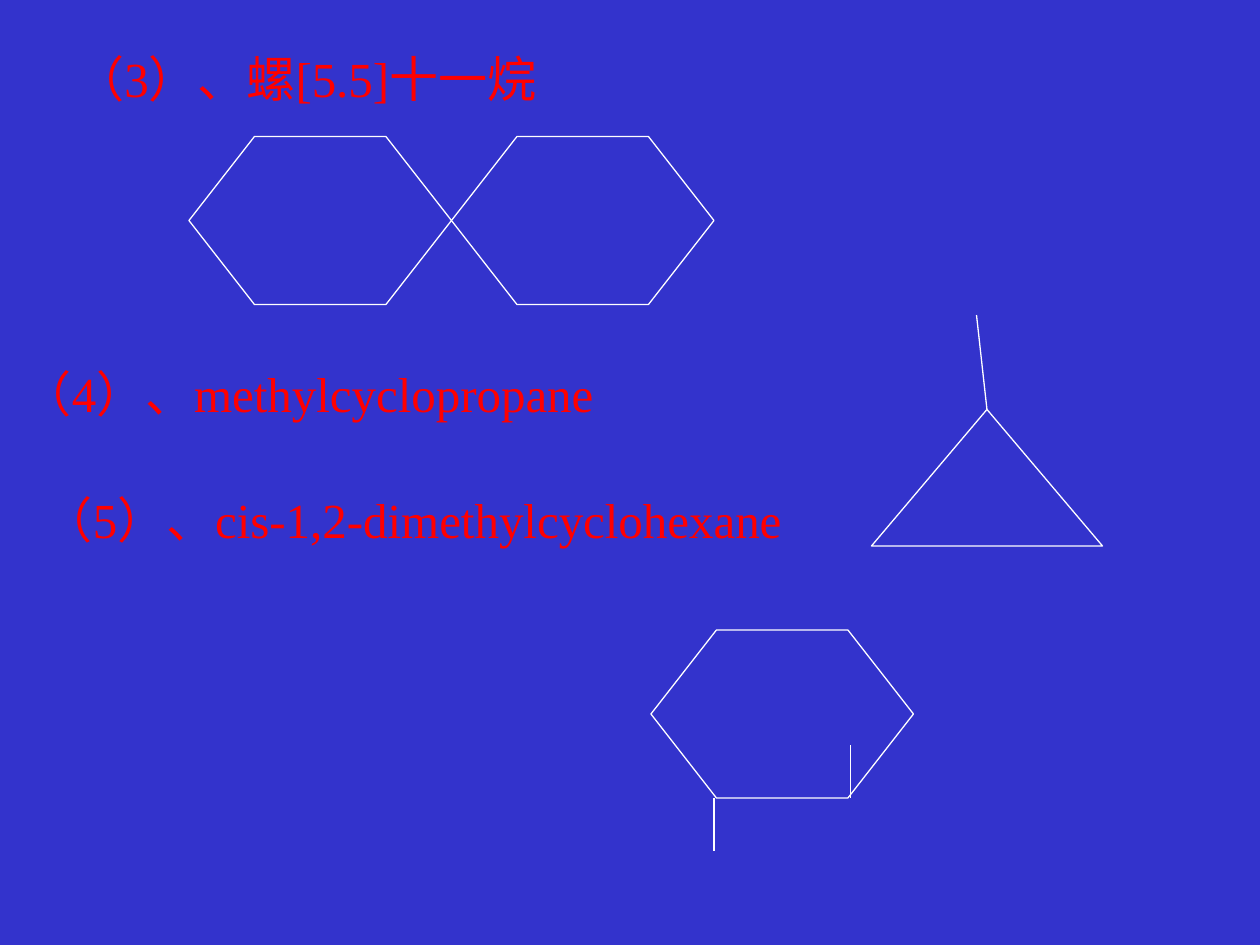
from pptx import Presentation
from pptx.dml.color import RGBColor
from pptx.enum.shapes import MSO_CONNECTOR, MSO_SHAPE
from pptx.enum.text import MSO_ANCHOR, PP_ALIGN
from pptx.oxml.ns import qn
from pptx.util import Inches, Pt

COLORS = {"background": "3333CC", "outline": "FFFFFF", "text": "FF0000"}


class MoleculeSlide:
    """Draws named ring molecules on a grid of 120 columns by 90 rows."""

    font_name = "Times New Roman"
    font_size = Pt(28)
    line_width = Pt(0.75)
    hanging = Inches(0.38)

    def __init__(self, deck):
        self.slide = deck.slides.add_slide(deck.slide_layouts[6])
        self.column = deck.slide_width / 120
        self.row = deck.slide_height / 90
        self.paint(self.slide.background.fill, "background")

    def paint(self, fill, color):
        fill.solid()
        fill.fore_color.rgb = RGBColor.from_string(COLORS[color])

    def place(self, column, row):
        return round(column * self.column), round(row * self.row)

    def outline(self, shape):
        self.paint(shape.line.fill, "outline")
        shape.line.width = self.line_width

    def name(self, text, column, row, width):
        box = self.slide.shapes.add_textbox(*self.place(column, row), *self.place(width, 8))
        frame = box.text_frame
        frame.word_wrap = True
        frame.vertical_anchor = MSO_ANCHOR.TOP
        para = frame.paragraphs[0]
        para.alignment = PP_ALIGN.LEFT
        properties = para._p.get_or_add_pPr()
        properties.set("marL", str(self.hanging))
        properties.set("indent", str(-self.hanging))
        span = para.add_run()
        span.text = text
        span.font.name = self.font_name
        span.font.size = self.font_size
        span.font.color.rgb = RGBColor.from_string(COLORS["text"])

    def ring(self, preset, column, row, width, height):
        shape = self.slide.shapes.add_shape(
            preset, *self.place(column, row), *self.place(width, height))
        shape.shadow.inherit = False
        self.paint(shape.fill, "background")
        self.outline(shape)
        return shape

    def hexagon(self, column, row):
        shape = self.ring(MSO_SHAPE.HEXAGON, column, row, 25, 16)
        shape.adjustments[0] = 0.39

    def triangle(self, column, row):
        self.ring(MSO_SHAPE.ISOSCELES_TRIANGLE, column, row, 22, 13)

    def bond(self, start, end):
        line = self.slide.shapes.add_connector(
            MSO_CONNECTOR.STRAIGHT, *self.place(*start), *self.place(*end))
        self.outline(line)
        properties = line._element.spPr
        properties.append(properties.makeelement(qn("a:effectLst"), {}))


def main():
    deck = Presentation()
    deck.slide_width, deck.slide_height = Inches(10), Inches(7.5)
    page = MoleculeSlide(deck)

    page.name("（3）、螺[5.5]十一烷", 6, 4, 102)
    for column in (18, 43):
        page.hexagon(column, 13)

    page.name("（4）、methylcyclopropane", 1, 34, 102)
    page.triangle(83, 39)
    page.bond((93, 30), (94, 39))

    page.name("（5）、cis-1,2-dimethylcyclohexane", 3, 46, 73)
    page.hexagon(62, 60)
    page.bond((68, 76), (68, 81))
    page.bond((81, 71), (81, 76))

    deck.save("out.pptx")


if __name__ == "__main__":
    main()
